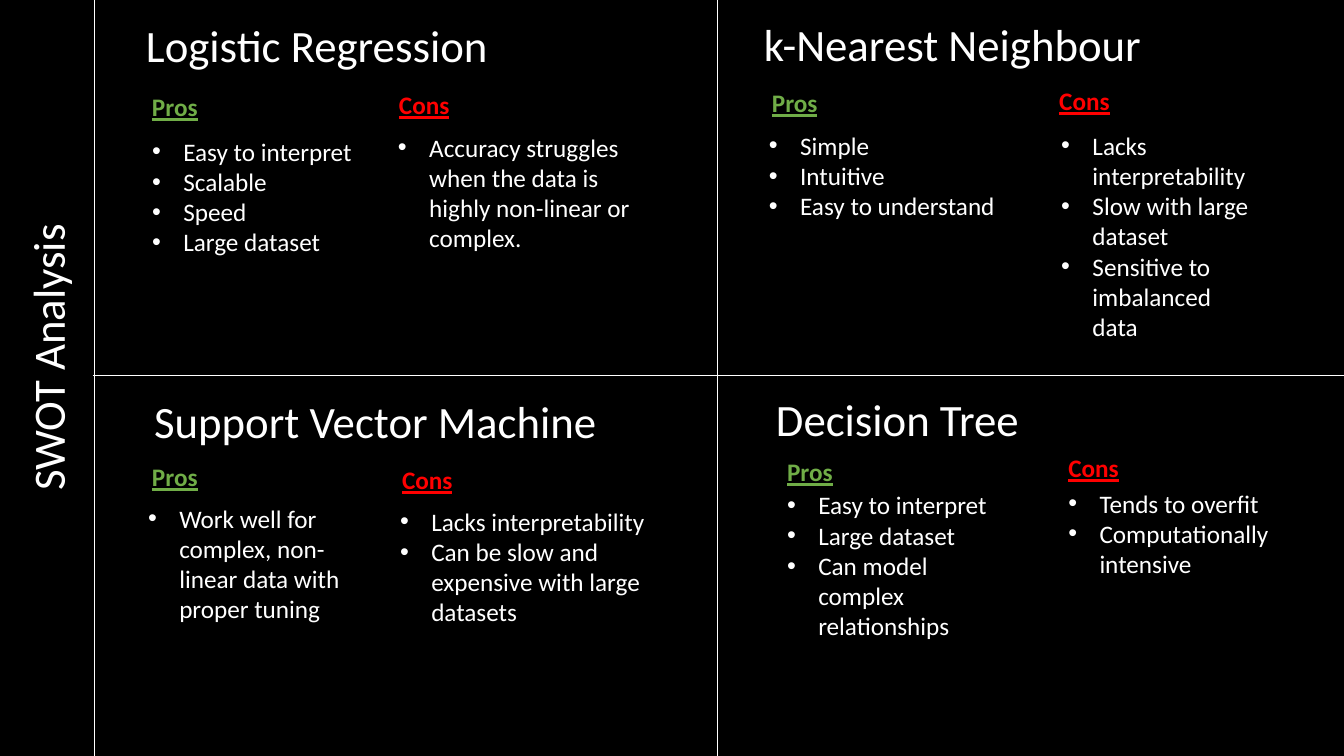
from dataclasses import dataclass

from lxml.etree import SubElement
from pptx import Presentation
from pptx.dml.color import RGBColor
from pptx.enum.shapes import MSO_CONNECTOR as Connector
from pptx.enum.text import MSO_ANCHOR as Anchor, MSO_AUTO_SIZE as AutoSize, PP_ALIGN as Align
from pptx.oxml.ns import qn
from pptx.util import Inches, Pt


@dataclass(frozen=True)
class Theme:
    font: str = "Calibri"
    title_size: int = 32
    body_size: int = 18
    background: str = "000000"
    text: str = "FFFFFF"
    pros: str = "70AD47"
    cons: str = "FF0000"


THEME = Theme()

# Grid of square cells covering the slide
COLUMNS, ROWS = 80, 45
CELL = Inches(1 / 6)
TITLE_ROWS = 3.84
HEAD_ROWS = 2.4
LINE_ROWS = 1.815
PADDING_ROWS = 0.6
INDENT = Inches(0.31)


@dataclass(frozen=True)
class Side:
    """A heading with its bullet list; lengths in grid cells."""
    head_at: tuple[float, float]
    list_at: tuple[float, float]
    width: float
    lines: int
    points: tuple[str, ...]


@dataclass(frozen=True)
class Quadrant:
    model: str
    at: tuple[float, float]
    width: float
    pros: Side
    cons: Side


@dataclass(frozen=True)
class Rule:
    start: tuple[float, float]
    end: tuple[float, float]
    weight: float


QUADRANTS = (
    Quadrant(
        "Logistic Regression", (8.1, 0.78), 21.6,
        Side((8.46, 5.16), (8.46, 7.8), 16.08, 4,
             ("Easy to interpret", "Scalable", "Speed", "Large dataset")),
        Side((23.16, 5.04), (23.1, 7.56), 15.06, 4,
             ("Accuracy struggles when the data is highly non-linear or complex.",)),
    ),
    Quadrant(
        "k-Nearest Neighbour", (44.88, 0.72), 23.94,
        Side((45.36, 4.92), (45.18, 7.44), 14.82, 3,
             ("Simple", "Intuitive", "Easy to understand")),
        Side((62.46, 4.8), (62.58, 7.44), 12.54, 7,
             ("Lacks interpretability", "Slow with large dataset",
              "Sensitive to imbalanced data")),
    ),
    Quadrant(
        "Support Vector Machine", (8.58, 23.16), 27.66,
        Side((8.46, 27.18), (8.22, 29.64), 13.86, 4,
             ("Work well for complex, non-linear data with proper tuning",)),
        Side((23.34, 27.36), (23.22, 29.82), 16.68, 4,
             ("Lacks interpretability",
              "Can be slow and expensive with large datasets")),
    ),
    Quadrant(
        "Decision Tree", (45.6, 23.04), 21.6,
        Side((46.26, 26.88), (46.26, 28.86), 14.64, 6,
             ("Easy to interpret", "Large dataset", "Can model complex relationships")),
        Side((63, 26.64), (63, 28.74), 14.64, 3,
             ("Tends to overfit", "Computationally intensive")),
    ),
)

RULES = (
    Rule((42.72, 0), (42.72, ROWS), 0.25),
    Rule((5.58, 0), (5.58, ROWS), 0.25),
    Rule((5.52, 22.32), (COLUMNS, 22.32), 0.5),
)


def cells(count: float) -> int:
    return round(count * CELL)


def add_span(para, text: str, size: int, color: str, heading: bool = False) -> None:
    span = para.add_run()
    span.text = text
    font = span.font
    font.name, font.size = THEME.font, Pt(size)
    font.color.rgb = RGBColor.from_string(color)
    if heading:
        font.bold = font.underline = True


def add_box(page, at: tuple[float, float], width: float, height: float, wrap: bool = True):
    box = page.shapes.add_textbox(*map(cells, (*at, width, height)))
    box.text_frame.word_wrap = wrap
    box.text_frame.auto_size = AutoSize.SHAPE_TO_FIT_TEXT
    return box.text_frame


def add_bullet(para) -> None:
    properties = para._p.get_or_add_pPr()
    properties.set("marL", str(INDENT))
    properties.set("indent", str(-INDENT))
    SubElement(properties, qn("a:buFont")).set("typeface", "Arial")
    SubElement(properties, qn("a:buChar")).set("char", "•")


def add_side(page, side: Side, heading: str, color: str, head_width: float) -> None:
    head = add_box(page, side.head_at, head_width, HEAD_ROWS, wrap=False)
    add_span(head.paragraphs[0], heading, THEME.body_size, color, heading=True)
    height = PADDING_ROWS + side.lines * LINE_ROWS
    body = add_box(page, side.list_at, side.width, height)
    for index, point in enumerate(side.points):
        para = body.add_paragraph() if index else body.paragraphs[0]
        add_bullet(para)
        add_span(para, point, THEME.body_size, THEME.text)


def add_quadrant(page, quadrant: Quadrant) -> None:
    name = add_box(page, quadrant.at, quadrant.width, TITLE_ROWS)
    add_span(name.paragraphs[0], quadrant.model, THEME.title_size, THEME.text)
    add_side(page, quadrant.pros, "Pros", THEME.pros, 3.96)
    add_side(page, quadrant.cons, "Cons", THEME.cons, 4.26)


def add_rule(page, rule: Rule) -> None:
    line = page.shapes.add_connector(
        Connector.STRAIGHT, *map(cells, (*rule.start, *rule.end)))
    line.line.color.rgb = RGBColor.from_string(THEME.text)
    line.line.width = Pt(rule.weight)
    SubElement(line._element.spPr, qn("a:effectLst"))


def set_title(page, text: str) -> None:
    title = page.shapes.title
    title.left, title.top, title.width, title.height = map(
        cells, (-5.82, 19.26, 17.28, TITLE_ROWS))
    title.rotation = 270
    frame = title.text_frame
    frame.word_wrap = False
    frame.auto_size = AutoSize.SHAPE_TO_FIT_TEXT
    frame.vertical_anchor = Anchor.TOP
    para = frame.paragraphs[0]
    para.alignment = Align.LEFT
    add_span(para, text, THEME.title_size, THEME.text)


def main() -> None:
    deck = Presentation()
    deck.slide_width, deck.slide_height = cells(COLUMNS), cells(ROWS)
    page = deck.slides.add_slide(deck.slide_layouts[5])
    page.background.fill.solid()
    page.background.fill.fore_color.rgb = RGBColor.from_string(THEME.background)

    # Side title and dividing lines
    set_title(page, "SWOT Analysis")
    for rule in RULES:
        add_rule(page, rule)

    # One quadrant for each model
    for quadrant in QUADRANTS:
        add_quadrant(page, quadrant)

    deck.save("out.pptx")


if __name__ == "__main__":
    main()
